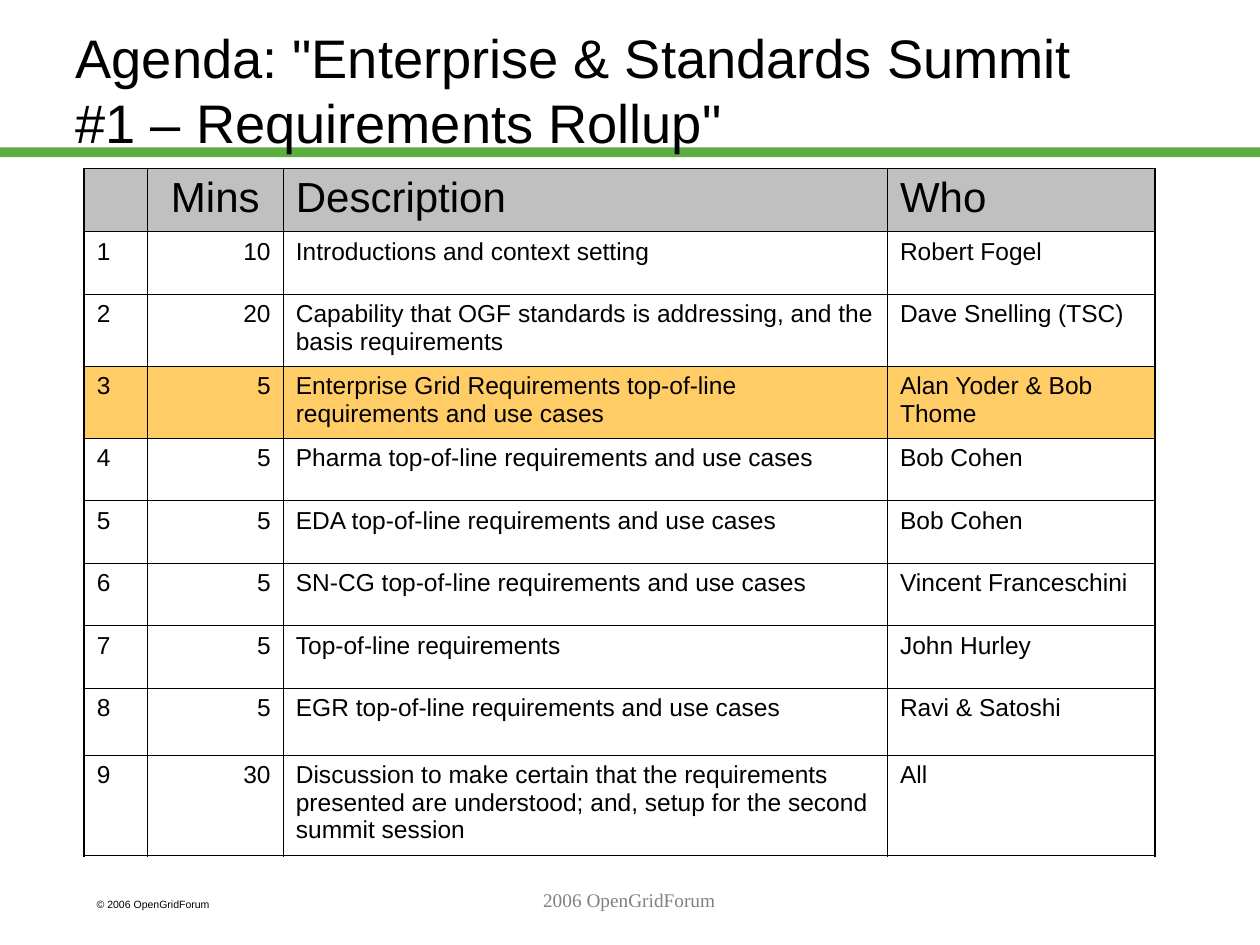
from typing import NamedTuple

import lxml.etree
import pptx
import pptx.dml.color
import pptx.enum.shapes
import pptx.enum.text
import pptx.oxml.ns
import pptx.util

Cm, Pt = pptx.util.Cm, pptx.util.Pt
RGBColor = pptx.dml.color.RGBColor
ALIGN = pptx.enum.text.PP_ALIGN
ANCHOR = pptx.enum.text.MSO_ANCHOR
qn = pptx.oxml.ns.qn

BLACK = RGBColor(0x00, 0x00, 0x00)
GREEN = RGBColor(0x5D, 0xAD, 0x41)
HEADER_GRAY = RGBColor(0xC0, 0xC0, 0xC0)
HIGHLIGHT = RGBColor(0xFF, 0xCC, 0x66)
FOOTER_GRAY = RGBColor(0x80, 0x80, 0x80)

THIN, THICK = 0.45, 1.08
TITLE = 'Agenda: "Enterprise & Standards Summit #1 – Requirements Rollup"'


class Column(NamedTuple):
    heading: str
    width: float
    heading_align: ALIGN
    align: ALIGN


class Item(NamedTuple):
    mins: int
    description: str
    who: str
    height: float = 1.26
    highlighted: bool = False


class Caption(NamedTuple):
    text: str
    left: float
    top: float
    width: float
    height: float
    font: str
    size: float
    color: RGBColor
    align: ALIGN


COLUMNS = [
    Column("", 1.27, ALIGN.LEFT, ALIGN.LEFT),
    Column("Mins", 2.74, ALIGN.CENTER, ALIGN.RIGHT),
    Column("Description", 12.18, ALIGN.LEFT, ALIGN.LEFT),
    Column("Who", 5.4, ALIGN.LEFT, ALIGN.LEFT),
]
ITEMS = [
    Item(10, "Introductions and context setting", "Robert Fogel"),
    Item(20, "Capability that OGF standards is addressing, and the basis requirements",
         "Dave Snelling (TSC)", 1.45),
    Item(5, "Enterprise Grid Requirements top-of-line requirements and use cases",
         "Alan Yoder & Bob Thome", 1.45, True),
    Item(5, "Pharma top-of-line requirements and use cases", "Bob Cohen"),
    Item(5, "EDA top-of-line requirements and use cases", "Bob Cohen"),
    Item(5, "SN-CG top-of-line requirements and use cases", "Vincent Franceschini"),
    Item(5, "Top-of-line requirements", "John Hurley"),
    Item(5, "EGR top-of-line requirements and use cases", "Ravi & Satoshi", 1.35),
    Item(30, "Discussion to make certain that the requirements presented are "
         "understood; and, setup for the second summit session", "All", 2.03),
]
HEADER_HEIGHT = 1.27
CAPTIONS = [
    Caption("© 2006 OpenGridForum", 1.7, 17.98, 3.81, 0.51, "Arial", 6, BLACK, ALIGN.LEFT),
    Caption("2006 OpenGridForum", 5.28, 17.78, 14.81, 1.27, "Times New Roman", 11,
            FOOTER_GRAY, ALIGN.CENTER),
]


def write(tf, text: str, size: float, align=ALIGN.LEFT, color=BLACK, font="Arial") -> None:
    tf.text = text
    p = tf.paragraphs[0]
    p.alignment = align
    for r in p.runs:
        r.font.name = font
        r.font.size = Pt(size)
        r.font.color.rgb = color


def set_borders(cell, left: float, right: float, top: float, bottom: float) -> None:
    tc_pr = cell._tc.get_or_add_tcPr()
    widths = {"a:lnL": left, "a:lnR": right, "a:lnT": top, "a:lnB": bottom}
    for i, (tag, width) in enumerate(widths.items()):
        ln = lxml.etree.Element(qn(tag), w=str(int(Pt(width))))
        fill = lxml.etree.SubElement(ln, qn("a:solidFill"))
        lxml.etree.SubElement(fill, qn("a:srgbClr"), val=str(BLACK))
        tc_pr.insert(i, ln)


def add_bar(s) -> None:
    bar = s.shapes.add_shape(pptx.enum.shapes.MSO_SHAPE.RECTANGLE,
                             Cm(0), Cm(2.97), Cm(25.4), Cm(0.2))
    bar.shadow.inherit = False
    bar.fill.solid()
    bar.fill.fore_color.rgb = GREEN
    bar.line.fill.background()
    # Behind the title, whose descenders reach the bar
    s.shapes._spTree.insert(2, bar._element)


def add_title(s) -> None:
    sp = s.shapes.title
    sp.left, sp.top, sp.width, sp.height = Cm(1.27), Cm(0.43), Cm(21.59), Cm(2.74)
    tf = sp.text_frame
    write(tf, TITLE, 31)
    tf.word_wrap = True
    tf.auto_size = pptx.enum.text.MSO_AUTO_SIZE.NONE
    tf.vertical_anchor = ANCHOR.MIDDLE


def add_agenda(s) -> None:
    heights = [HEADER_HEIGHT] + [item.height for item in ITEMS]
    frame = s.shapes.add_table(len(heights), len(COLUMNS), Cm(1.7), Cm(3.4),
                               Cm(sum(c.width for c in COLUMNS)), Cm(sum(heights)))
    table = frame.table
    table.first_row = table.horz_banding = False
    for col, column in zip(table.columns, COLUMNS):
        col.width = Cm(column.width)
    last_row, last_col = len(heights) - 1, len(COLUMNS) - 1

    for i, height in enumerate(heights):
        table.rows[i].height = Cm(height)
        if i == 0:
            texts, size, fill = [c.heading for c in COLUMNS], 24, HEADER_GRAY
        else:
            item = ITEMS[i - 1]
            texts, size = [str(i), str(item.mins), item.description, item.who], 14
            fill = HIGHLIGHT if item.highlighted else None
        for j, (text, column) in enumerate(zip(texts, COLUMNS)):
            cell = table.cell(i, j)
            write(cell.text_frame, text, size, column.align if i else column.heading_align)
            if fill is None:
                cell.fill.background()
            else:
                cell.fill.solid()
                cell.fill.fore_color.rgb = fill
            set_borders(cell,
                        left=THICK if j == 0 else THIN,
                        right=THICK if j == last_col else THIN,
                        top=THICK if i == 0 else THIN,
                        bottom=THICK if i == last_row else THIN)


def add_caption(s, c: Caption) -> None:
    sp = s.shapes.add_textbox(Cm(c.left), Cm(c.top), Cm(c.width), Cm(c.height))
    sp.text_frame.word_wrap = True
    write(sp.text_frame, c.text, c.size, c.align, c.color, c.font)


def main() -> None:
    prs = pptx.Presentation()
    prs.slide_width, prs.slide_height = Cm(25.4), Cm(19.05)
    s = prs.slides.add_slide(prs.slide_layouts.get_by_name("Title Only"))
    add_bar(s)
    add_title(s)
    add_agenda(s)
    for caption in CAPTIONS:
        add_caption(s, caption)
    prs.save("out.pptx")


if __name__ == "__main__":
    main()
